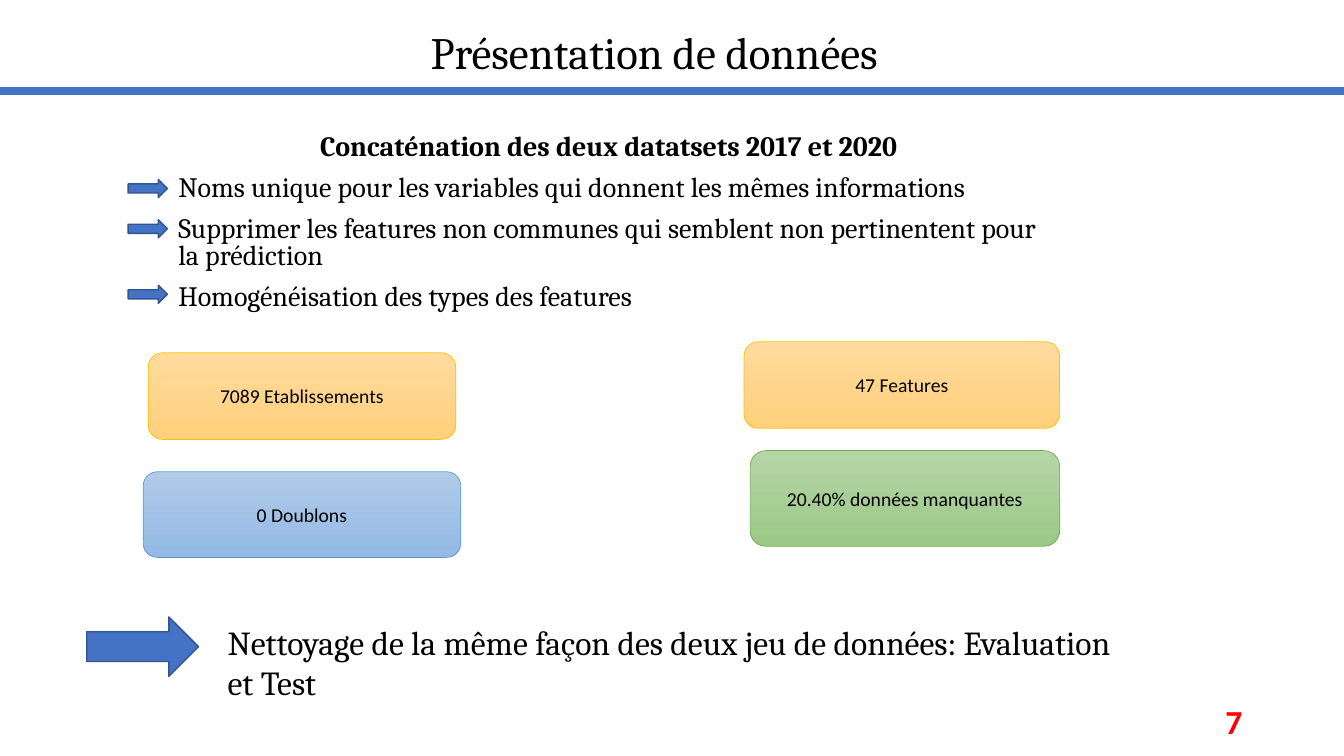
from dataclasses import dataclass

from lxml import etree
from pptx import Presentation
from pptx.dml.color import RGBColor
from pptx.enum.shapes import MSO_CONNECTOR, MSO_SHAPE
from pptx.enum.text import MSO_ANCHOR, MSO_AUTO_SIZE, PP_ALIGN
from pptx.oxml.ns import qn
from pptx.util import Inches, Pt

ROUNDED, ARROW = MSO_SHAPE.ROUNDED_RECTANGLE, MSO_SHAPE.RIGHT_ARROW
STRAIGHT = MSO_CONNECTOR.STRAIGHT
LEFT, CENTER, RIGHT = PP_ALIGN.LEFT, PP_ALIGN.CENTER, PP_ALIGN.RIGHT
TOP, MIDDLE = MSO_ANCHOR.TOP, MSO_ANCHOR.MIDDLE
NO_AUTOFIT = MSO_AUTO_SIZE.NONE

BLACK = RGBColor(0x00, 0x00, 0x00)
RED = RGBColor(0xFF, 0x00, 0x00)
BLUE = RGBColor(0x44, 0x72, 0xC4)
DARK_BLUE = RGBColor(0x32, 0x54, 0x91)


@dataclass(frozen=True)
class Palette:
    top: RGBColor
    bottom: RGBColor
    outline: RGBColor


@dataclass(frozen=True)
class Box:
    left: float
    top: float
    width: float
    height: float

    def lengths(self) -> tuple:
        return (Inches(self.left), Inches(self.top),
                Inches(self.width), Inches(self.height))


@dataclass(frozen=True)
class Card:
    text: str
    box: Box
    palette: Palette


ORANGE_CARD = Palette(RGBColor(0xFF, 0xDB, 0x9E), RGBColor(0xFF, 0xD0, 0x7C),
                      RGBColor(0xFF, 0xC0, 0x00))
GREEN_CARD = Palette(RGBColor(0xB5, 0xD5, 0xA7), RGBColor(0x9C, 0xC9, 0x87),
                     RGBColor(0x70, 0xAD, 0x47))
BLUE_CARD = Palette(RGBColor(0xB1, 0xCB, 0xE9), RGBColor(0x93, 0xB9, 0xE4),
                    RGBColor(0x5B, 0x9B, 0xD5))

CARDS = [
    Card("7089 Etablissements", Box(1.47, 3.5, 3.05, 0.86), ORANGE_CARD),
    Card("47 Features", Box(7.38, 3.39, 3.13, 0.86), ORANGE_CARD),
    Card("20.40% données manquantes", Box(7.44, 4.47, 3.07, 0.95), GREEN_CARD),
    Card("0 Doublons", Box(1.42, 4.68, 3.15, 0.85), BLUE_CARD),
]
ARROWS = [Box(1.27, top, 0.39, 0.18) for top in (1.78, 2.18, 2.83)]
ARROWS.append(Box(0.86, 6.12, 1.11, 0.59))

HEADING = "Concaténation des deux datatsets 2017 et 2020"
STEPS = [
    "Noms unique pour les variables qui donnent les mêmes informations",
    "Supprimer les features non communes qui semblent non pertinentent pour la prédiction",
    "Homogénéisation des types des features",
]


def format_paragraph(paragraph, size: float, font: str = "Cambria", align=LEFT,
                     color: RGBColor = BLACK, bold: bool = False) -> None:
    paragraph.alignment = align
    paragraph.font.name = font
    paragraph.font.size = Pt(size)
    paragraph.font.bold = bold
    paragraph.font.color.rgb = color


def add_text_frame(slide, box: Box, text: str, anchor=TOP):
    text_frame = slide.shapes.add_textbox(*box.lengths()).text_frame
    text_frame.word_wrap = True
    text_frame.vertical_anchor = anchor
    text_frame.text = text
    return text_frame


def add_card(slide, card: Card) -> None:
    shape = slide.shapes.add_shape(ROUNDED, *card.box.lengths())
    shape.shadow.inherit = False
    shape.fill.gradient()
    shape.fill.gradient_angle = 270
    colors = (card.palette.top, card.palette.bottom)
    for position, (stop, color) in enumerate(zip(shape.fill.gradient_stops, colors)):
        stop.position = position
        stop.color.rgb = color
    shape.line.color.rgb = card.palette.outline
    shape.line.width = Pt(0.5)
    shape.text_frame.text = card.text
    shape.text_frame.vertical_anchor = MIDDLE
    format_paragraph(shape.text_frame.paragraphs[0], 14, "Calibri", CENTER)


def add_arrow(slide, box: Box) -> None:
    shape = slide.shapes.add_shape(ARROW, *box.lengths())
    shape.shadow.inherit = False
    shape.fill.solid()
    shape.fill.fore_color.rgb = BLUE
    shape.line.color.rgb = DARK_BLUE
    shape.line.width = Pt(1)


def main() -> None:
    presentation = Presentation()
    presentation.slide_width = Inches(13.33)
    presentation.slide_height = Inches(7.5)
    slide = presentation.slides.add_slide(presentation.slide_layouts[5])

    # Title and the rule under it
    title = slide.shapes.title
    title.left, title.top, title.width, title.height = Box(0, 0.19, 12.98, 0.64).lengths()
    title.text_frame.text = "Présentation de données"
    title.text_frame.auto_size = NO_AUTOFIT
    title.text_frame.vertical_anchor = TOP
    format_paragraph(title.text_frame.paragraphs[0], 32, align=CENTER)

    rule = slide.shapes.add_connector(STRAIGHT, 0, Inches(0.9),
                                      presentation.slide_width, Inches(0.9))
    rule.line.color.rgb = BLUE
    rule.line.width = Pt(5.75)
    etree.SubElement(rule.element.spPr, qn("a:effectLst"))

    # Heading and preparation steps
    steps = add_text_frame(slide, Box(1.67, 1.29, 8.84, 1.89), "\n".join([HEADING, *STEPS]))
    steps.margin_right = Inches(0.2)
    for index, paragraph in enumerate(steps.paragraphs):
        is_heading = index == 0
        format_paragraph(paragraph, 20, align=CENTER if is_heading else LEFT, bold=is_heading)
        paragraph.line_spacing = 0.8
        paragraph.space_before = Pt(10)

    # Key figures and arrows
    for card in CARDS:
        add_card(slide, card)
    for box in ARROWS:
        add_arrow(slide, box)

    # Conclusion
    conclusion = add_text_frame(
        slide, Box(2.16, 6.12, 9.14, 0.91),
        "Nettoyage de la même façon des deux jeu de données: Evaluation et Test")
    format_paragraph(conclusion.paragraphs[0], 24)

    # Slide number
    number = add_text_frame(slide, Box(9.42, 6.95, 3, 0.4), "7", MIDDLE)
    format_paragraph(number.paragraphs[0], 24, "Calibri", RIGHT, RED, bold=True)

    presentation.save("out.pptx")


if __name__ == "__main__":
    main()
